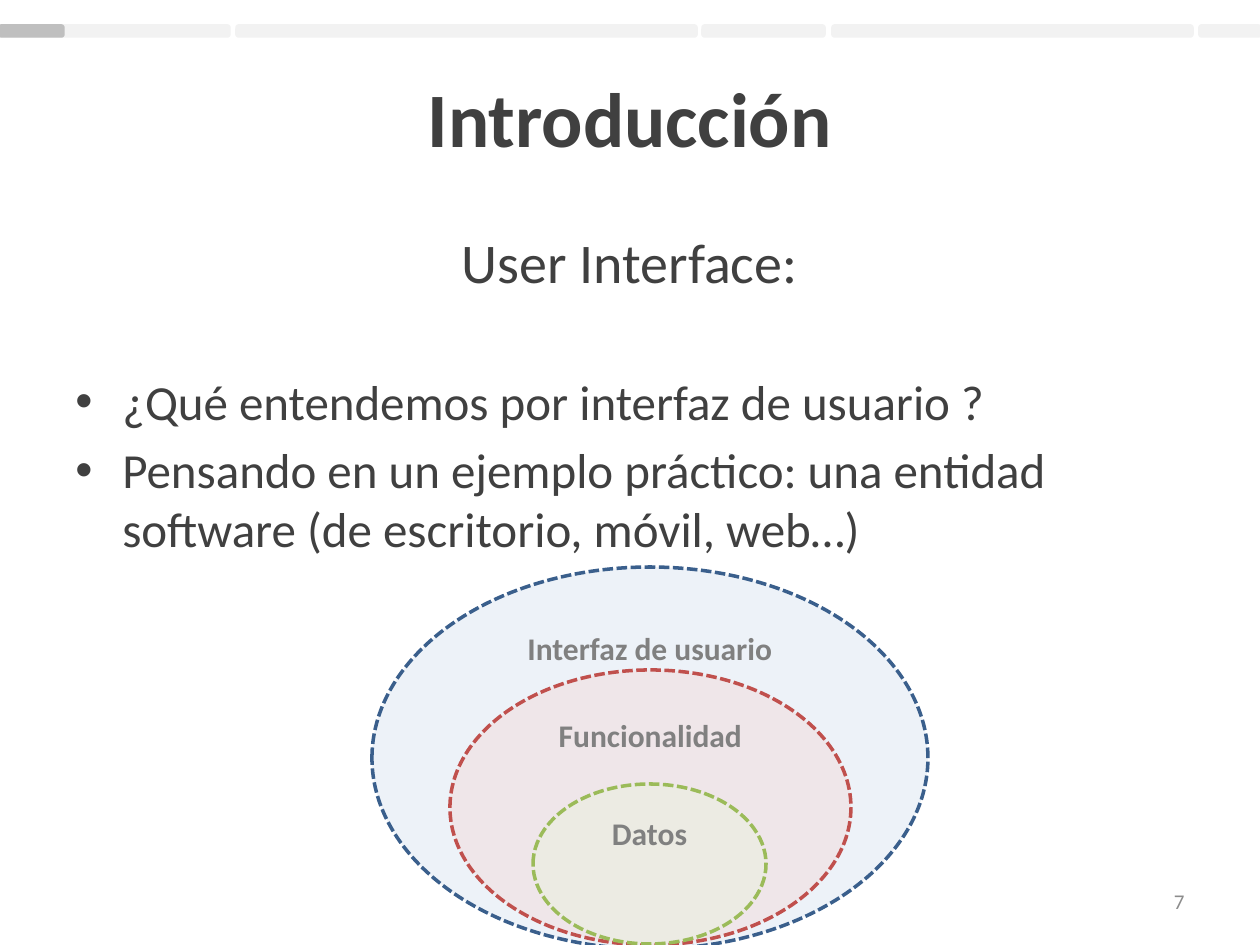
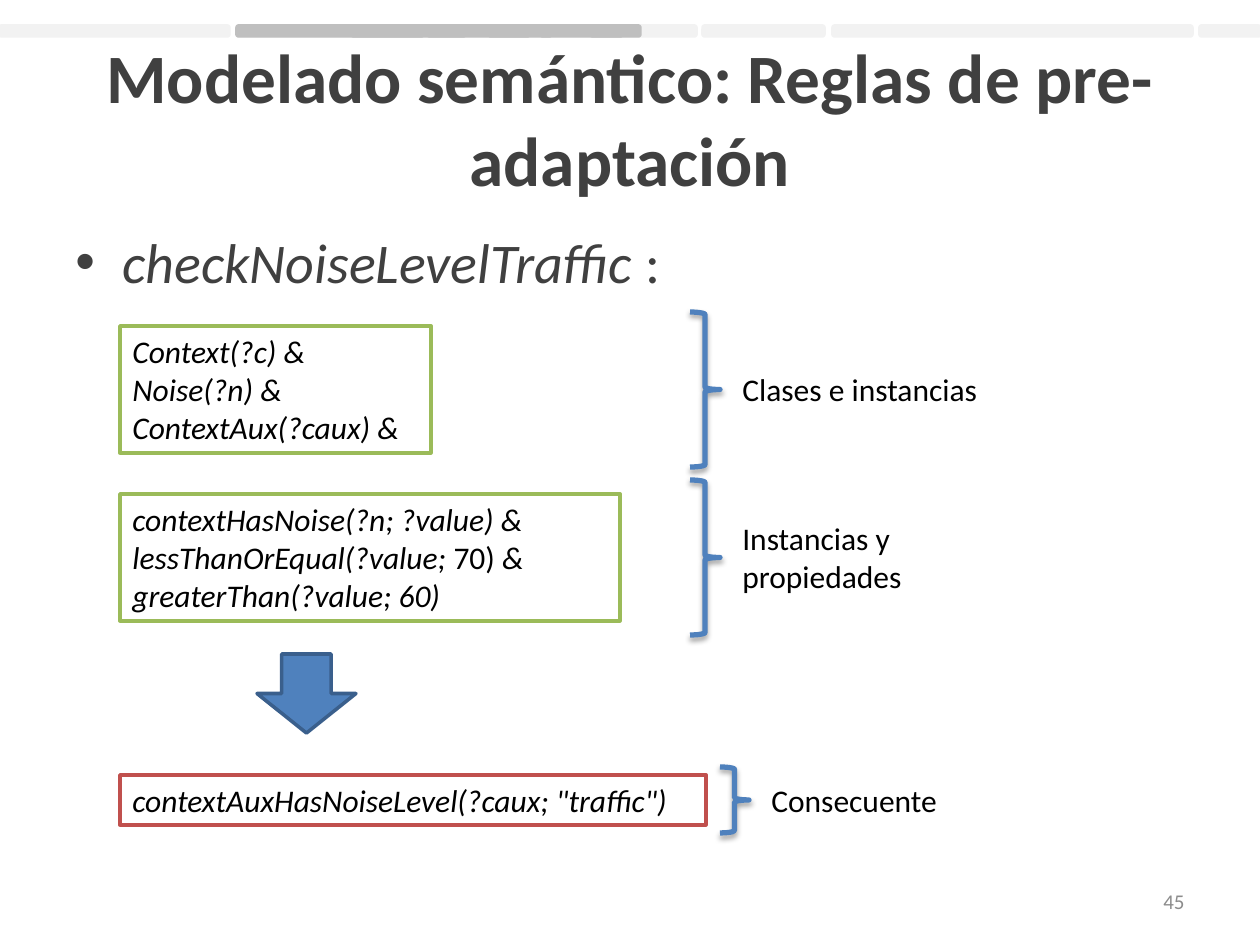
from lxml import etree
from pptx import Presentation
from pptx.dml.color import RGBColor
from pptx.enum.dml import MSO_LINE
from pptx.enum.shapes import MSO_SHAPE
from pptx.enum.text import MSO_ANCHOR, PP_ALIGN
from pptx.oxml.ns import qn
from pptx.util import Emu, Pt

ROUND, OVAL, RECT = MSO_SHAPE.ROUNDED_RECTANGLE, MSO_SHAPE.OVAL, MSO_SHAPE.RECTANGLE
BRACE, ARROW = MSO_SHAPE.RIGHT_BRACE, MSO_SHAPE.DOWN_ARROW
TOP, MIDDLE = MSO_ANCHOR.TOP, MSO_ANCHOR.MIDDLE
LEFT, CENTER, RIGHT = PP_ALIGN.LEFT, PP_ALIGN.CENTER, PP_ALIGN.RIGHT
DASH = MSO_LINE.SQUARE_DOT

PX = 914400 / 126
WIDE, HIGH = 1260, 945
FONT = "Calibri"
COLORS = {
    "band": "F2F2F2", "done": "BFBFBF", "text": "404040", "page": "8C8C8C",
    "label": "808080", "black": "000000", "white": "FFFFFF",
    "blue": "4F81BD", "navy": "3A5F8C", "red": "C0504D", "green": "9BBB59",
    "ice": "DCE6F2", "rose": "F2DCDB", "lime": "EBF1DE",
}

# Left and width of each chapter in the progress band
BAND_TOP, BAND_HIGH = 26, 10
CHAPTERS = [(0, 229), (237, 459), (703, 121), (833, 359), (1200, 60)]
TITLE = (63, 38, 1134, 158)
BODY = (63, 221, 1134, 624)
PAGE = (903, 876, 294, 50)
INDENT = 47

# In a line of text, parts between bars switch between italic and upright
INTRO = {
    "title": "Introducción", "size": 44, "page": "7", "done": [(0, 63)],
    "body": [
        dict(text="User Interface:", size=32, align=CENTER),
        dict(text="¿Qué entendemos por interfaz de usuario ?", size=28,
             bullet=True, before=44),
        dict(text="Pensando en un ejemplo práctico: una entidad software "
                  "(de escritorio, móvil, web…)", size=28, bullet=True, before=5.5),
    ],
}
LAYERS = [
    ("Interfaz de usuario", (372, 567, 556, 382), "ice", "navy"),
    ("Funcionalidad", (450, 670, 401, 275), "rose", "red"),
    ("Datos", (533, 784, 233, 160), "lime", "green"),
]
RULES = {
    "title": "Modelado semántico: Reglas de pre-adaptación", "size": 39.6,
    "page": "45",
    "done": [(541, 81), (591, 49), (237, 186), (352, 113), (428, 101), (489, 62)],
    "body": [dict(text="checkNoiseLevelTraffic |:", size=32, bullet=True, italic=True)],
}
RULE_LEFT = 120
# Lines, top, width, height, line colour; then brace box; then note and its box
PARTS = [
    (["Context(?c) &", "Noise(?n) &", "ContextAux(?caux) &"],
     (326, 311, 127), "green", (690, 312, 30, 155),
     "Clases e instancias", (730, 364, 328, 50)),
    (["contextHasNoise(?n; ?value) &", "lessThanOrEqual(?value;| 70)| &",
      "greaterThan(?value; 60)"],
     (494, 500, 127), "green", (690, 480, 30, 155),
     "Instancias y propiedades", (730, 513, 238, 89)),
    (['contextAuxHasNoiseLevel(?caux; "traffic")'],
     (775, 586, 50), "red", (720, 767, 29, 66),
     "Consecuente", (759, 775, 238, 50)),
]
ARROW_BOX = (257, 654, 99, 79)


def emu(box):
    return [Emu(round(n * PX)) for n in box]


def rgb(name):
    return RGBColor.from_string(COLORS[name])


def node(up, tag, **attrs):
    return etree.SubElement(up, qn(tag), {k: str(v) for k, v in attrs.items()})


def write(shape, lines, color="black", bold=False, anchor=TOP):
    """Fill a shape with lines, each a dict of text, size and style."""
    frame = shape.text_frame
    frame.word_wrap = True
    frame.vertical_anchor = anchor
    for i, line in enumerate(lines):
        para = frame.add_paragraph() if i else frame.paragraphs[0]
        para.alignment = line.get("align", LEFT)
        if i:
            para.space_before = Pt(line.get("before", 0))
        if line.get("bullet"):
            props = para._p.get_or_add_pPr()
            hang = round(INDENT * PX)
            props.set("marL", str(hang))
            props.set("indent", str(-hang))
            node(props, "a:buFont", typeface="Arial")
            node(props, "a:buChar", char="•")
        font = para.font
        font.name, font.size, font.bold = FONT, Pt(line["size"]), bold
        font.italic = line.get("italic", False)
        font.color.rgb = rgb(color)
        for k, part in enumerate(line["text"].split("|")):
            run = para.add_run()
            run.text = part
            if k % 2:
                run.font.italic = False


def label(slide, box, lines, **style):
    write(slide.shapes.add_textbox(*emu(box)), lines, **style)


def draw(slide, kind, box, fill, line, weight=2):
    shape = slide.shapes.add_shape(kind, *emu(box))
    shape.shadow.inherit = False
    if fill:
        shape.fill.solid()
        shape.fill.fore_color.rgb = rgb(fill)
    else:
        shape.fill.background()
    shape.line.color.rgb = rgb(line)
    shape.line.width = Pt(weight)
    return shape


def fade(shape, percent):
    color = shape._element.spPr.find(qn("a:solidFill"))[0]
    node(color, "a:alpha", val=percent * 1000)


def shade(shape):
    """Give a shape a soft shadow straight below it."""
    effects = shape._element.spPr.find(qn("a:effectLst"))
    outer = node(effects, "a:outerShdw", blurRad=Pt(3.1), dist=Pt(1.8),
                 dir=90 * 60000, rotWithShape=0)
    node(node(outer, "a:srgbClr", val=COLORS["black"]), "a:alpha", val=35000)


def band(slide, spans, color):
    for left, width in spans:
        draw(slide, ROUND, (left, BAND_TOP, width, BAND_HIGH), color, color)


def start(deck, page):
    slide = deck.slides.add_slide(deck.slide_layouts[6])
    band(slide, CHAPTERS, "band")
    title = dict(text=page["title"], size=page["size"], align=CENTER)
    label(slide, TITLE, [title], color="text", bold=True, anchor=MIDDLE)
    label(slide, BODY, page["body"], color="text")
    number = dict(text=page["page"], size=12, align=RIGHT)
    label(slide, PAGE, [number], color="page", anchor=MIDDLE)
    return slide


def intro(deck):
    slide = start(deck, INTRO)
    for name, box, fill, line in LAYERS:
        oval = draw(slide, OVAL, box, fill, line)
        oval.line.dash_style = DASH
        fade(oval, 50)
        write(oval, [dict(text=name, size=18, align=CENTER)], color="label", bold=True)
    band(slide, INTRO["done"], "done")


def rules(deck):
    slide = start(deck, RULES)
    for lines, (top, width, height), line, brace, note, place in PARTS:
        frame = draw(slide, RECT, (RULE_LEFT, top, width, height), "white", line)
        write(frame, [dict(text=t, size=18, italic=True) for t in lines])
        shade(draw(slide, BRACE, brace, None, "blue", 3))
        label(slide, place, [dict(text=note, size=18)])
    draw(slide, ARROW, ARROW_BOX, "blue", "navy")
    band(slide, RULES["done"], "done")


def main():
    deck = Presentation()
    deck.slide_width, deck.slide_height = emu((WIDE, HIGH))
    intro(deck)
    rules(deck)
    deck.save("out.pptx")


if __name__ == "__main__":
    main()
